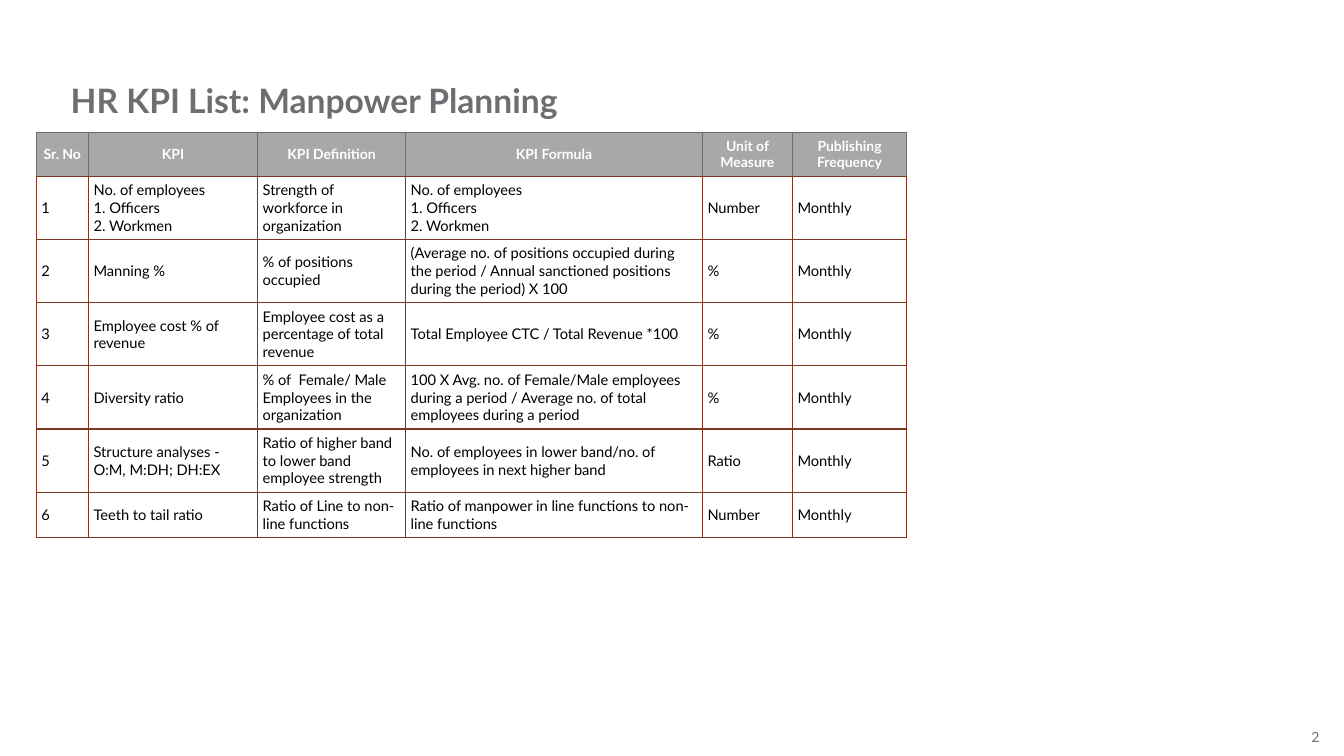
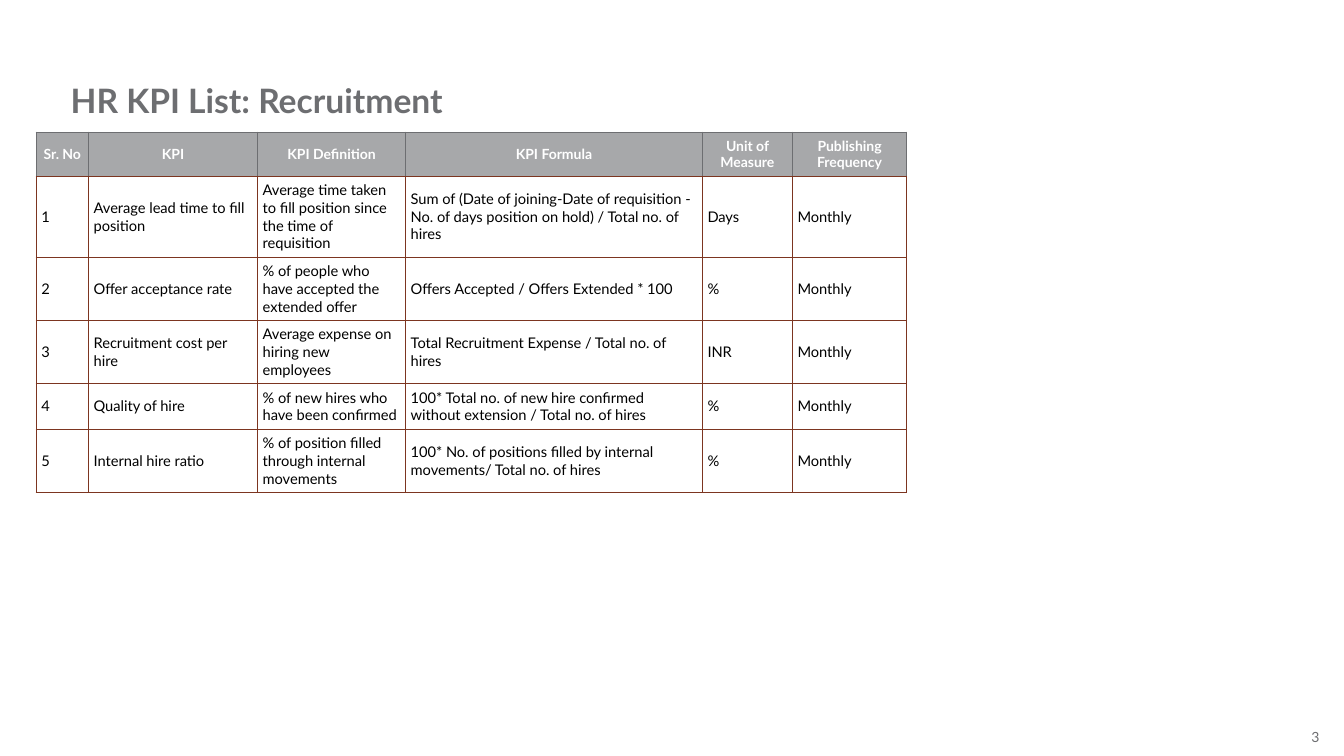
from dataclasses import dataclass

from lxml.etree import SubElement
from pptx import Presentation
from pptx.dml.color import RGBColor
from pptx.enum.text import MSO_ANCHOR, PP_ALIGN
from pptx.oxml.ns import qn
from pptx.util import Cm, Pt


@dataclass(frozen=True)
class Theme:
    font: str = "Lato"
    gray: str = "6D6E71"
    header_fill: str = "A7A8AA"
    rule: str = "7C3520"
    white: str = "FFFFFF"
    black: str = "000000"
    title_size: float = 24
    small_size: float = 10
    body_size: float = 10.5


@dataclass(frozen=True)
class Box:
    left: float
    top: float
    width: float
    height: float = 0

    def lengths(self):
        return Cm(self.left), Cm(self.top), Cm(self.width), Cm(self.height)


THEME = Theme()
TITLE_BOX = Box(1.78, 2.01, 30.45, 1.02)
TABLE_BOX = Box(0.91, 3.33, 21.94)
NUMBER_BOX = Box(32.82, 18.36, 0.43, 0.43)
COLUMN_WIDTHS = (1.32, 4.26, 3.73, 7.48, 2.27, 2.88)
HEADINGS = ("Sr. No", "KPI", "KPI Definition", "KPI Formula",
            "Unit of Measure", "Publishing Frequency")
FREQUENCY = "Monthly"
HEADER_HEIGHT = 1.1
ROW_PADDING = 0.24
LINE_HEIGHT = 0.45
CELL_MARGIN = 0.13

STAFF = "No. of employees\n1. Officers\n2. Workmen"
MANPOWER = (
    (3, STAFF, "Strength of workforce in organization", STAFF, "Number"),
    (3, "Manning %", "% of positions occupied",
     "(Average no. of positions occupied during the period / "
     "Annual sanctioned positions during the period) X 100", "%"),
    (3, "Employee cost % of revenue",
     "Employee cost as a percentage of total revenue",
     "Total Employee CTC / Total Revenue *100", "%"),
    (3, "Diversity ratio", "% of  Female/ Male Employees in the organization",
     "100 X Avg. no. of Female/Male employees during a period / "
     "Average no. of total employees during a period", "%"),
    (3, "Structure analyses - O:M, M:DH; DH:EX",
     "Ratio of higher band to lower band employee strength",
     "No. of employees in lower band/no. of employees in next higher band",
     "Ratio"),
    (2, "Teeth to tail ratio", "Ratio of Line to non-line functions",
     "Ratio of manpower in line functions to non-line functions", "Number"),
)
RECRUITMENT = (
    (4, "Average lead time to fill position",
     "Average time taken to fill position since the time of requisition",
     "Sum of (Date of joining-Date of requisition - "
     "No. of days position on hold) / Total no. of hires", "Days"),
    (3, "Offer acceptance rate",
     "% of people who have accepted the extended offer",
     "Offers Accepted / Offers Extended * 100", "%"),
    (3, "Recruitment cost per hire", "Average expense on hiring new employees",
     "Total Recruitment Expense / Total no. of  hires", "INR"),
    (2, "Quality of hire", "% of new hires who have been confirmed",
     "100* Total no. of new hire confirmed without extension / "
     "Total no. of hires", "%"),
    (3, "Internal hire ratio",
     "% of position filled through internal movements",
     "100* No. of positions filled by internal movements/ "
     "Total no. of hires", "%"),
)
PAGES = (("Manpower Planning", MANPOWER), ("Recruitment", RECRUITMENT))


def write(para, text, size, color, bold=False, align=PP_ALIGN.LEFT):
    para.text = text
    para.alignment = align
    para.font.name = THEME.font
    para.font.size = Pt(size)
    para.font.bold = bold
    para.font.color.rgb = RGBColor.from_string(color)


def clear_margins(frame):
    frame.margin_left = frame.margin_right = 0
    frame.margin_top = frame.margin_bottom = 0


def draw_borders(cell, side_color, bottom_color):
    properties = cell._tc.get_or_add_tcPr()
    for side in "LRTB":
        line = SubElement(properties, qn(f"a:ln{side}"), w=str(Pt(1)))
        fill = SubElement(line, qn("a:solidFill"))
        color = bottom_color if side == "B" else side_color
        SubElement(fill, qn("a:srgbClr"), val=color)


def fill_cell(cell, text, is_header):
    cell.vertical_anchor = MSO_ANCHOR.MIDDLE
    cell.margin_left = cell.margin_right = Cm(CELL_MARGIN)
    cell.margin_top = cell.margin_bottom = Cm(CELL_MARGIN)
    para = cell.text_frame.paragraphs[0]
    if is_header:
        write(para, text, THEME.small_size, THEME.white, True, PP_ALIGN.CENTER)
        draw_borders(cell, THEME.gray, THEME.rule)
        cell.fill.solid()
        cell.fill.fore_color.rgb = RGBColor.from_string(THEME.header_fill)
    else:
        write(para, text, THEME.body_size, THEME.black)
        draw_borders(cell, THEME.rule, THEME.rule)
        cell.fill.background()


def add_title(page, box, text):
    title = page.shapes.title
    title.left, title.top, title.width, title.height = box.lengths()
    frame = title.text_frame
    clear_margins(frame)
    frame.vertical_anchor = MSO_ANCHOR.TOP
    write(frame.paragraphs[0], text, THEME.title_size, THEME.gray, True)


def add_page_number(page, box, number):
    frame = page.shapes.add_textbox(*box.lengths()).text_frame
    clear_margins(frame)
    frame.word_wrap = False
    frame.vertical_anchor = MSO_ANCHOR.MIDDLE
    write(frame.paragraphs[0], str(number), THEME.small_size, THEME.gray,
          align=PP_ALIGN.RIGHT)


def add_kpi_table(page, box, indicators):
    rows = [HEADINGS]
    heights = [HEADER_HEIGHT]
    for number, (lines, *texts) in enumerate(indicators, 1):
        rows.append((str(number), *texts, FREQUENCY))
        heights.append(ROW_PADDING + LINE_HEIGHT * lines)
    table = page.shapes.add_table(len(rows), len(HEADINGS), *box.lengths()).table
    table.horz_banding = False
    for column, width in zip(table.columns, COLUMN_WIDTHS):
        column.width = Cm(width)
    for index, (row, height, texts) in enumerate(zip(table.rows, heights, rows)):
        row.height = Cm(height)
        for cell, text in zip(row.cells, texts):
            fill_cell(cell, text, index == 0)


def add_kpi_page(deck, number, topic, indicators):
    page = deck.slides.add_slide(deck.slide_layouts.get_by_name("Title Only"))
    add_page_number(page, NUMBER_BOX, number)
    add_title(page, TITLE_BOX, f"HR KPI List: {topic}")
    add_kpi_table(page, TABLE_BOX, indicators)


deck = Presentation()
deck.slide_width, deck.slide_height = Cm(33.87), Cm(19.05)
for number, (topic, indicators) in enumerate(PAGES, 2):
    add_kpi_page(deck, number, topic, indicators)
deck.save("out.pptx")
